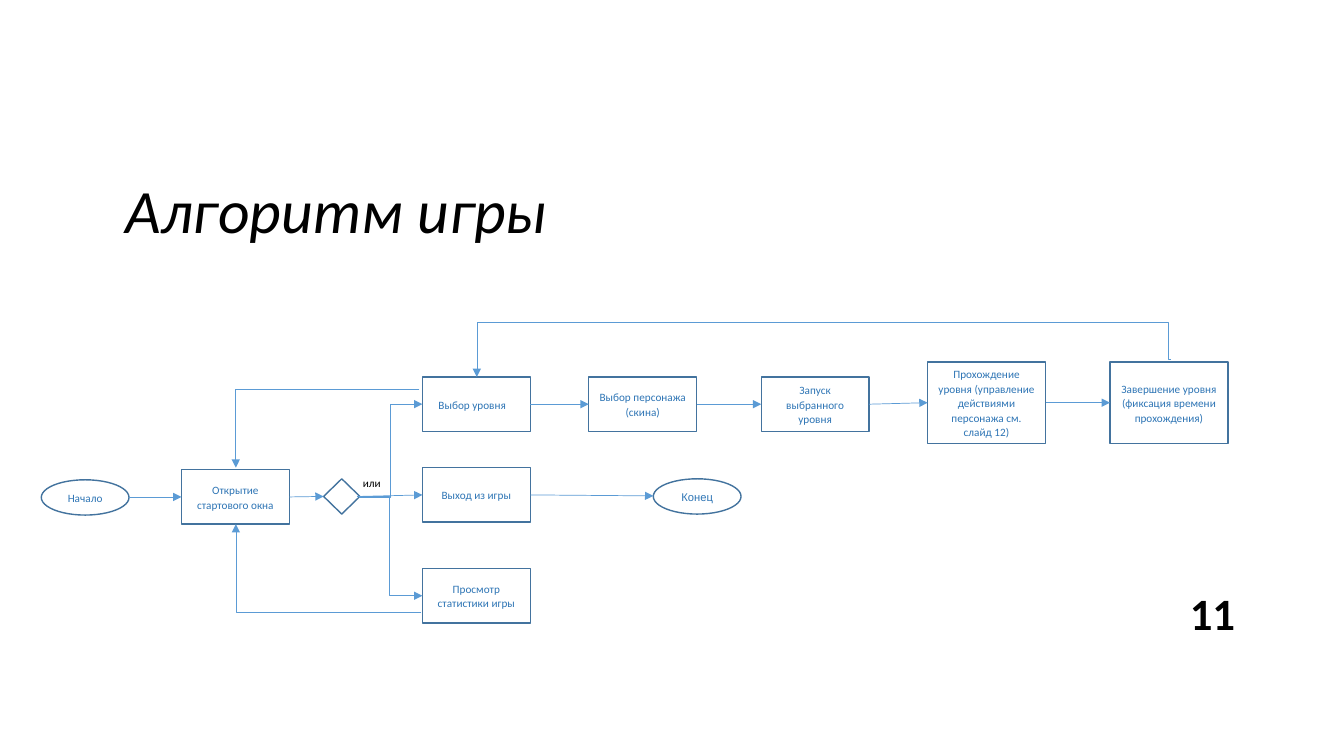
import pptx
import pptx.util
import pptx.dml.color
import pptx.enum.shapes
import pptx.enum.text
import pptx.oxml.ns
import lxml.etree

Inches = pptx.util.Inches
Pt = pptx.util.Pt
RGB = pptx.dml.color.RGBColor
SHAPE = pptx.enum.shapes.MSO_SHAPE
LINK = pptx.enum.shapes.MSO_CONNECTOR
ALIGN = pptx.enum.text.PP_ALIGN
MIDDLE = pptx.enum.text.MSO_ANCHOR.MIDDLE
qn = pptx.oxml.ns.qn

EDGE = RGB(0x43, 0x73, 0x9E)
LABEL = RGB(0x2E, 0x75, 0xB5)
ARROW = RGB(0x5B, 0x9B, 0xD5)
BLACK = RGB(0, 0, 0)
LEFT, RIGHT = 1, 3

deck = pptx.Presentation()
deck.slide_width = Inches(13.33)
deck.slide_height = Inches(7.5)
slide = deck.slides.add_slide(deck.slide_layouts[6])
shapes = slide.shapes


def write(shape, text, size, color, font="Calibri"):
    """Fill a shape with one styled paragraph and return that paragraph."""
    frame = shape.text_frame
    frame.word_wrap = True
    frame.vertical_anchor = MIDDLE
    frame.text = text
    para = frame.paragraphs[0]
    para.font.size = Pt(size)
    para.font.name = font
    para.font.color.rgb = color
    return para


def arrow(kind, start, end):
    """Draw a thin arrow between two points in inches."""
    line = shapes.add_connector(kind, *[Inches(v) for v in (*start, *end)])
    line.line.color.rgb = ARROW
    line.line.width = Pt(0.5)
    tail = lxml.etree.SubElement(line.line._get_or_add_ln(), qn("a:tailEnd"))
    tail.set("type", "triangle")
    lxml.etree.SubElement(line._element.spPr, qn("a:effectLst"))
    return line


# Title and slide number
title = shapes.add_textbox(Inches(1.15), Inches(1.39), Inches(11.02), Inches(1.45))
para = write(title, "Алгоритм игры", 44, BLACK)
para.font.italic = True
para.line_spacing = 0.9

number = shapes.add_textbox(Inches(9.35), Inches(5.88), Inches(3), Inches(0.4))
para = write(number, "11", 32, BLACK)
para.font.bold = True
para.alignment = ALIGN.RIGHT

# Steps: name, preset, left, top, text
SIZES = {
    "box": (SHAPE.RECTANGLE, 1.07, 0.54),
    "big": (SHAPE.RECTANGLE, 1.17, 0.81),
    "oval": (SHAPE.OVAL, 0.87, 0.35),
    "choice": (SHAPE.DIAMOND, 0.36, 0.35),
}
STEPS = [
    ("start", "oval", 0.41, 4.76, "Начало"),
    ("open", "box", 1.8, 4.66, "Открытие стартового окна"),
    ("fork", "choice", 3.21, 4.75, ""),
    ("level", "box", 4.19, 3.74, "Выбор уровня"),
    ("exit", "box", 4.19, 4.64, "Выход из игры"),
    ("stats", "box", 4.19, 5.64, "Просмотр статистики игры"),
    ("skin", "box", 5.84, 3.74, "Выбор персонажа (скина)"),
    ("launch", "box", 7.55, 3.74, "Запуск выбранного уровня"),
    ("play", "big", 9.2, 3.59,
     "Прохождение уровня (управление действиями персонажа см. слайд 12)"),
    ("finish", "big", 11.01, 3.59,
     "Завершение уровня (фиксация времени прохождения)"),
    ("end", "oval", 6.48, 4.75, "Конец"),
]
steps = {}
for name, kind, left, top, text in STEPS:
    preset, width, height = SIZES[kind]
    step = shapes.add_shape(
        preset, Inches(left), Inches(top), Inches(width), Inches(height))
    step.shadow.inherit = False
    step.fill.background()
    step.line.color.rgb = EDGE
    step.line.width = Pt(1)
    if text:
        font = "Arial" if name == "end" else "Calibri"
        para = write(step, text, 8, LABEL, font)
        para.alignment = ALIGN.CENTER
        para.line_spacing = 1.08
        para.space_after = Pt(8)
    steps[name] = step
steps["level"].text_frame.margin_right = Inches(0.18)

# Straight arrows between neighbouring steps
for first, second in [("open", "fork"), ("fork", "exit"), ("level", "skin"),
                      ("skin", "launch"), ("launch", "play"), ("play", "finish")]:
    line = arrow(LINK.STRAIGHT, (0, 0), (0, 0))
    line.begin_connect(steps[first], RIGHT)
    line.end_connect(steps[second], LEFT)

line = arrow(LINK.STRAIGHT, (1.28, 4.93), (1.8, 4.93))
line.end_connect(steps["open"], LEFT)
line = arrow(LINK.STRAIGHT, (5.26, 4.92), (6.48, 4.92))
line.begin_connect(steps["exit"], RIGHT)

# Bent arrows: start, end, preset, bend positions in 1/100000 of the size
BENDS = [
    ((3.56, 4.93), (4.19, 4.01), "bentConnector3", [50000]),
    ((3.54, 4.92), (4.19, 5.91), "bentConnector3", [50000]),
    ((11.61, 3.57), (4.73, 3.74), "bentConnector4", [300, -216100]),
    ((4.16, 3.86), (2.34, 4.64), "bentConnector3", [100100]),
    ((4.18, 6.08), (2.34, 5.2), "bentConnector2", []),
]
for start, end, preset, bends in BENDS:
    line = arrow(LINK.ELBOW, start, end)
    geom = line._element.spPr.find(qn("a:prstGeom"))
    geom.set("prst", preset)
    guides = geom.find(qn("a:avLst"))
    for index, bend in enumerate(bends, 1):
        guide = lxml.etree.SubElement(guides, qn("a:gd"))
        guide.set("name", f"adj{index}")
        guide.set("fmla", f"val {bend}")

# Fork label
either = shapes.add_textbox(Inches(3.5), Inches(4.68), Inches(0.38), Inches(0.23))
write(either, "или", 8, BLACK)
either.text_frame.word_wrap = False

deck.save("out.pptx")
